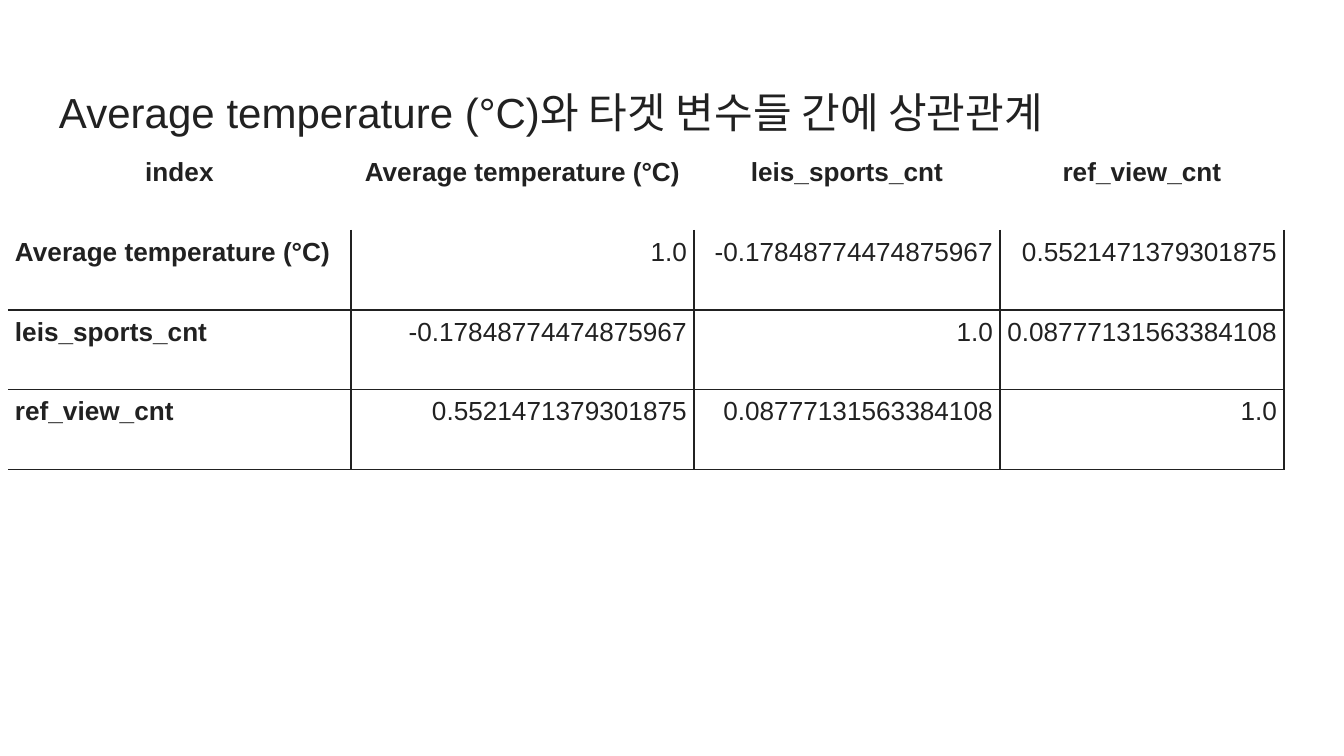
from dataclasses import dataclass

import lxml.etree
import pptx
import pptx.dml.color
import pptx.enum.text
import pptx.oxml.ns
import pptx.util

EMU_PER_PX = 914400 / 134.4
COLORS = {"ink": "212121", "paper": "FFFFFF"}
ALIGN = pptx.enum.text.PP_ALIGN
ANCHOR = pptx.enum.text.MSO_ANCHOR


@dataclass(frozen=True)
class Box:
    left: int
    top: int
    width: int
    height: int


@dataclass(frozen=True)
class Row:
    label: str
    values: tuple[str, ...]


def px(length: int) -> pptx.util.Emu:
    return pptx.util.Emu(round(length * EMU_PER_PX))


def rgb(name: str) -> pptx.dml.color.RGBColor:
    return pptx.dml.color.RGBColor.from_string(COLORS[name])


def write(frame, text: str, *, size: float, bold: bool = False,
          align=ALIGN.LEFT, after: int = 0) -> None:
    """Fill a text frame with one formatted paragraph."""
    frame.text = text
    paragraph = frame.paragraphs[0]
    paragraph.alignment = align
    paragraph.line_spacing = 1.15
    paragraph.space_before = pptx.util.Pt(0)
    paragraph.space_after = pptx.util.Pt(after)
    font = paragraph.runs[0].font
    font.name = "Arial"
    font.size = pptx.util.Pt(size)
    font.bold = bold
    font.color.rgb = rgb("ink")


def set_borders(cell, visible: str) -> None:
    """Rule the sides named in visible (of L, R, T, B) and clear the others."""
    qn = pptx.oxml.ns.qn
    properties = cell._tc.get_or_add_tcPr()
    for position, side in enumerate("LRTB"):
        line = lxml.etree.Element(qn(f"a:ln{side}"), w=str(pptx.util.Pt(0.75)))
        if side in visible:
            fill = lxml.etree.SubElement(line, qn("a:solidFill"))
            lxml.etree.SubElement(fill, qn("a:srgbClr"), val=COLORS["ink"])
        else:
            lxml.etree.SubElement(line, qn("a:noFill"))
        properties.insert(position, line)


def format_cell(cell, text: str, *, bold: bool, align, borders: str) -> None:
    cell.fill.solid()
    cell.fill.fore_color.rgb = rgb("paper")
    cell.margin_left = cell.margin_right = px(7)
    cell.margin_top = cell.margin_bottom = px(3)
    cell.vertical_anchor = ANCHOR.TOP
    write(cell.text_frame, text, size=14, bold=bold, align=align)
    set_borders(cell, borders)


def add_correlations(slide, box: Box, widths: tuple[int, ...],
                     header: tuple[str, ...], rows: list[Row]) -> None:
    """Add the matrix: an open header row above ruled body rows."""
    table = slide.shapes.add_table(
        len(rows) + 1, len(header),
        px(box.left), px(box.top), px(box.width), px(box.height)).table
    table.first_row = table.horz_banding = False
    for column, width in zip(table.columns, widths):
        column.width = px(width)
    for c, name in enumerate(header):
        format_cell(table.cell(0, c), name, bold=True, align=ALIGN.CENTER, borders="")
    for r, row in enumerate(rows, start=1):
        for c, text in enumerate((row.label, *row.values)):
            borders = "RB" + ("L" if c else "") + ("T" if r > 1 else "")
            format_cell(table.cell(r, c), text, bold=c == 0,
                        align=ALIGN.RIGHT if c else ALIGN.LEFT, borders=borders)


def main() -> None:
    deck = pptx.Presentation()
    deck.slide_width, deck.slide_height = px(1344), px(756)
    slide = deck.slides.add_slide(deck.slide_layouts[5])
    slide.background.fill.solid()
    slide.background.fill.fore_color.rgb = rgb("paper")

    # Title
    title = slide.shapes.title
    title.left, title.top, title.width, title.height = map(px, (46, 66, 1252, 84))
    frame = title.text_frame
    frame.margin_left = frame.margin_right = px(13)
    frame.margin_top = frame.margin_bottom = px(13)
    frame.vertical_anchor = ANCHOR.TOP
    frame.word_wrap = True
    frame.auto_size = pptx.enum.text.MSO_AUTO_SIZE.NONE
    write(frame, "Average temperature (°C)와 타겟 변수들 간에 상관관계", size=22.5, after=7)

    # Correlation matrix: symmetric, with ones on the diagonal
    variables = ("Average temperature (°C)", "leis_sports_cnt", "ref_view_cnt")
    temp_sports, temp_views, sports_views = (
        "-0.17848774474875967", "0.5521471379301875", "0.08777131563384108")
    matrix = (
        ("1.0", temp_sports, temp_views),
        (temp_sports, "1.0", sports_views),
        (temp_views, sports_views, "1.0"),
    )
    rows = [Row(name, values) for name, values in zip(variables, matrix)]
    widths = (343, 343, 306, 284)
    add_correlations(slide, Box(8, 150, sum(widths), 80 * (len(rows) + 1)),
                     widths, ("index", *variables), rows)

    deck.save("out.pptx")


if __name__ == "__main__":
    main()
